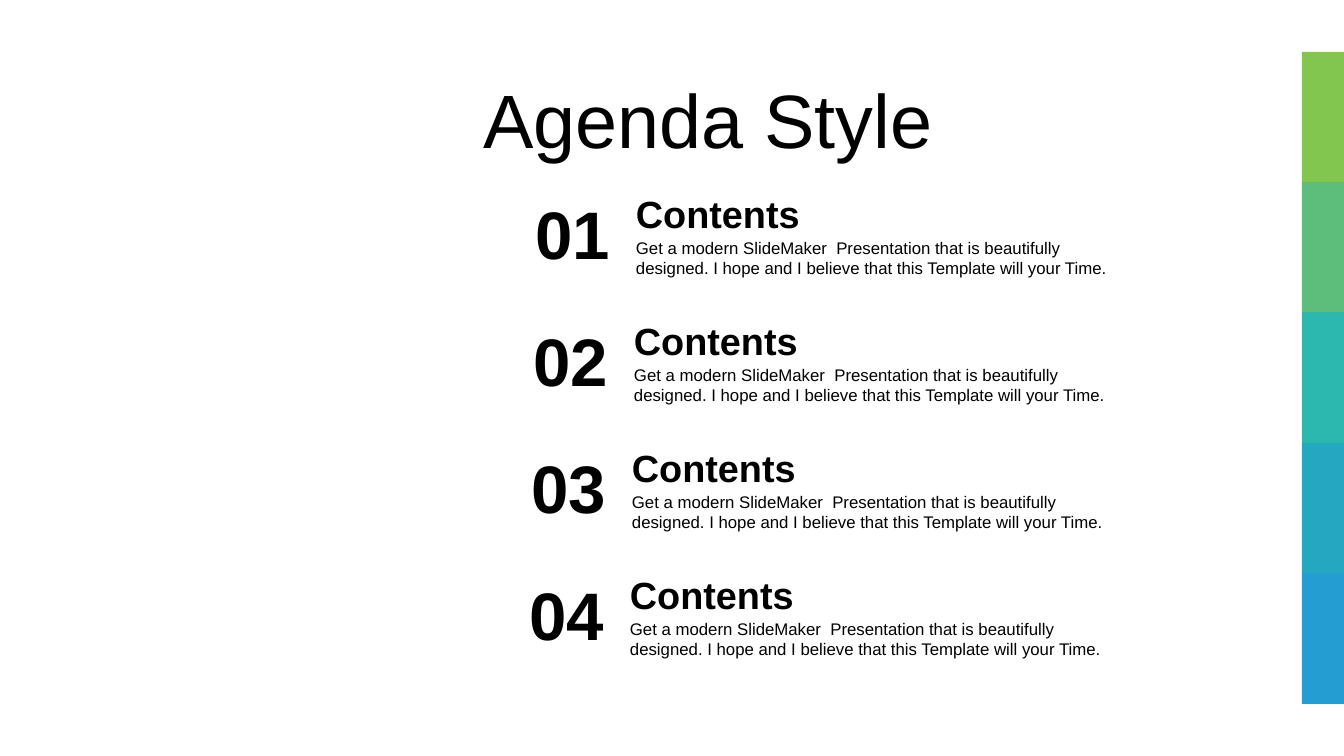
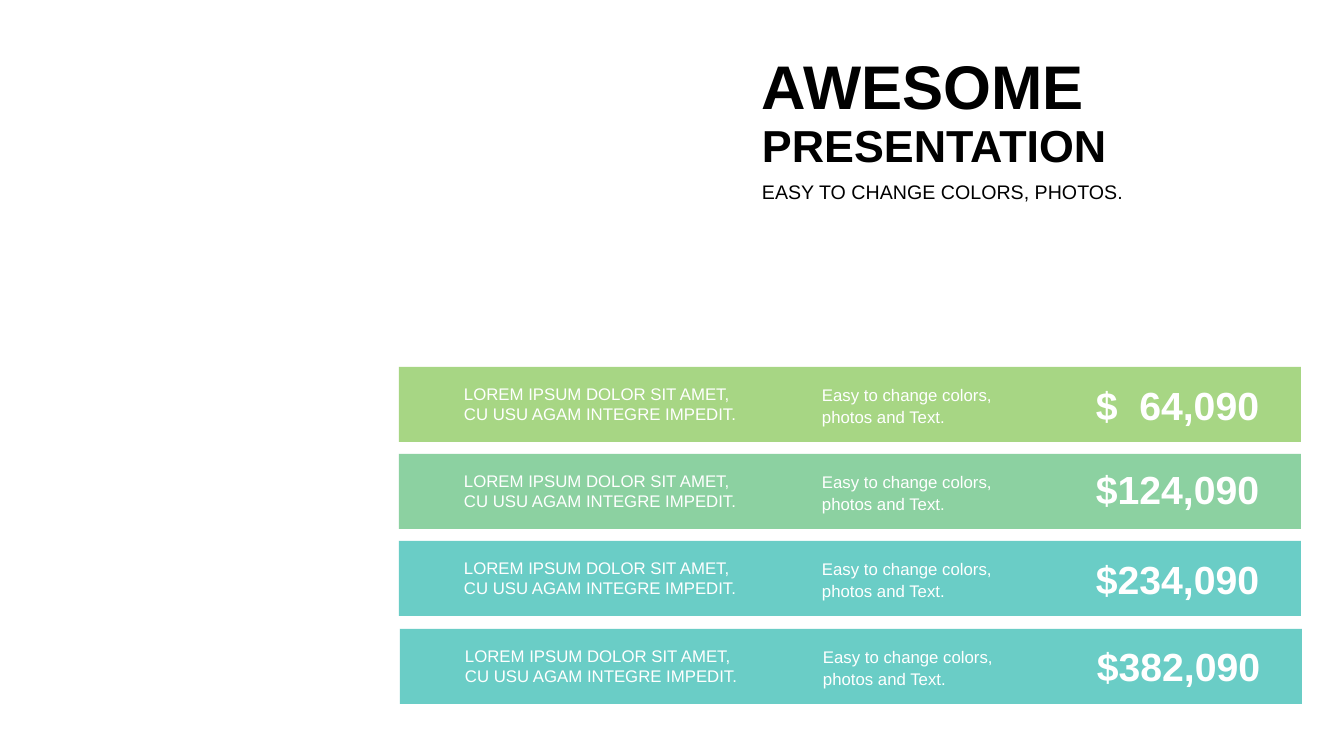
import pptx
import pptx.util
import pptx.dml.color
import pptx.enum.shapes
import pptx.enum.text
import pptx.oxml.ns
from lxml import etree

ALIGN = pptx.enum.text.PP_ALIGN
ANCHOR = pptx.enum.text.MSO_ANCHOR
SLIDE_W, SLIDE_H = 1344, 756
SCALE = 12192000 / SLIDE_W  # EMU per px


def px(n):
    return pptx.util.Emu(round(n * SCALE))


def rgb(text):
    return pptx.dml.color.RGBColor.from_string(text)


class Deck:
    """Shared style and the current slide."""
    FONT = "Arial"
    BLACK, WHITE = "000000", "FFFFFF"
    GREEN, MINT, TEAL, CYAN, BLUE = "82C650", "5CBE7A", "2CB8AE", "24A8C2", "249ED2"

    def __init__(self):
        self.prs = pptx.Presentation()
        self.prs.slide_width, self.prs.slide_height = px(SLIDE_W), px(SLIDE_H)

    def slide(self):
        self.s = self.prs.slides.add_slide(self.prs.slide_layouts[5])

    def set_text(self, tf, lines, size, color=BLACK, bold=False, align=ALIGN.LEFT,
                 anchor=ANCHOR.TOP, inset=10, spacing=1.0):
        frame = {"word_wrap": True, "auto_size": pptx.enum.text.MSO_AUTO_SIZE.NONE,
                 "vertical_anchor": anchor,
                 "margin_left": px(inset), "margin_right": px(inset),
                 "margin_top": px(5), "margin_bottom": px(5)}
        for name, value in frame.items():
            setattr(tf, name, value)
        font = {"name": self.FONT, "size": pptx.util.Pt(size), "bold": bold}
        for i, line in enumerate(lines):
            p = tf.add_paragraph() if i else tf.paragraphs[0]
            p.alignment, p.line_spacing = align, spacing
            r = p.add_run()
            r.text = line
            for name, value in font.items():
                setattr(r.font, name, value)
            r.font.color.rgb = rgb(color)

    def title(self, x, y, w, h, text, size, **fmt):
        sp = self.s.shapes.title
        sp.left, sp.top, sp.width, sp.height = map(px, (x, y, w, h))
        self.set_text(sp.text_frame, [text], size, anchor=ANCHOR.MIDDLE, **fmt)

    def text(self, x, y, w, h, lines, size, **fmt):
        sp = self.s.shapes.add_textbox(*map(px, (x, y, w, h)))
        self.set_text(sp.text_frame, lines, size, **fmt)

    def rect(self, x, y, w, h, color, opacity=100):
        sp = self.s.shapes.add_shape(pptx.enum.shapes.MSO_SHAPE.RECTANGLE,
                                     *map(px, (x, y, w, h)))
        sp.shadow.inherit = False
        sp.line.fill.background()
        sp.fill.solid()
        sp.fill.fore_color.rgb = rgb(color)
        if opacity < 100:
            clr = sp._element.spPr.find(".//" + pptx.oxml.ns.qn("a:srgbClr"))
            etree.SubElement(clr, pptx.oxml.ns.qn("a:alpha"), val=str(opacity * 1000))


def agenda(d):
    d.slide()
    d.title(473, 67, 682, 102, "Agenda Style", 54)

    # Numbered entries, each slightly left of the one above
    body = ("Get a modern SlideMaker  Presentation that is beautifully designed. "
            "I hope and I believe that this Template will your Time.")
    for i in range(4):
        x, y = 520 - 2 * i, 186 + 127 * i
        d.text(x + 106, y + 47, 497, 50, [body], 12)
        d.text(x + 104, y, 497, 56, ["Contents"], 27, bold=True, inset=12)
        d.text(x, y + 1, 106, 92, [f"{i + 1:02}"], 48, bold=True, inset=12,
               align=ALIGN.CENTER)

    # Colour strip on the right edge
    colors = [d.GREEN, d.MINT, d.TEAL, d.CYAN, d.BLUE]
    edges = [52 + 652 * i // 5 for i in range(6)]
    for color, top, bottom in zip(colors, edges, edges[1:]):
        d.rect(1302, top, 42, bottom - top, color)


def prices(d):
    d.slide()
    # Heading block
    heading = {"bold": True, "align": ALIGN.JUSTIFY}
    d.title(752, 42, 469, 85, "AWESOME", 44, **heading)
    d.text(752, 113, 469, 64, ["PRESENTATION"], 32, anchor=ANCHOR.MIDDLE, **heading)
    d.text(752, 175, 469, 34, ["EASY TO CHANGE COLORS, PHOTOS."], 14, align=ALIGN.JUSTIFY)

    # Price bars: colour, amount, amount's distance from the bar top
    bars = [(d.GREEN, "$  64,090", 9), (d.MINT, "$124,090", 6),
            (d.TEAL, "$234,090", 9), (d.TEAL, "$382,090", 8)]
    for i, (color, amount, drop) in enumerate(bars):
        x, y = 399 + i // 3, 367 + 262 * i // 3
        d.rect(x, y, 902, 75, color, opacity=70)
        d.text(x + 681, y + drop, 195, 57, [amount], 28, color=d.WHITE, bold=True,
               align=ALIGN.CENTER)
        d.text(x + 413, y + 11, 233, 53, ["Easy to change colors, photos and Text."], 12,
               color=d.WHITE, spacing=1.1)
        d.text(x + 55, y + 12, 324, 50,
               ["LOREM IPSUM DOLOR SIT AMET,", "CU USU AGAM INTEGRE IMPEDIT."], 12,
               color=d.WHITE, anchor=ANCHOR.MIDDLE)


def main():
    d = Deck()
    agenda(d)
    prices(d)
    d.prs.save("out.pptx")


if __name__ == "__main__":
    main()
